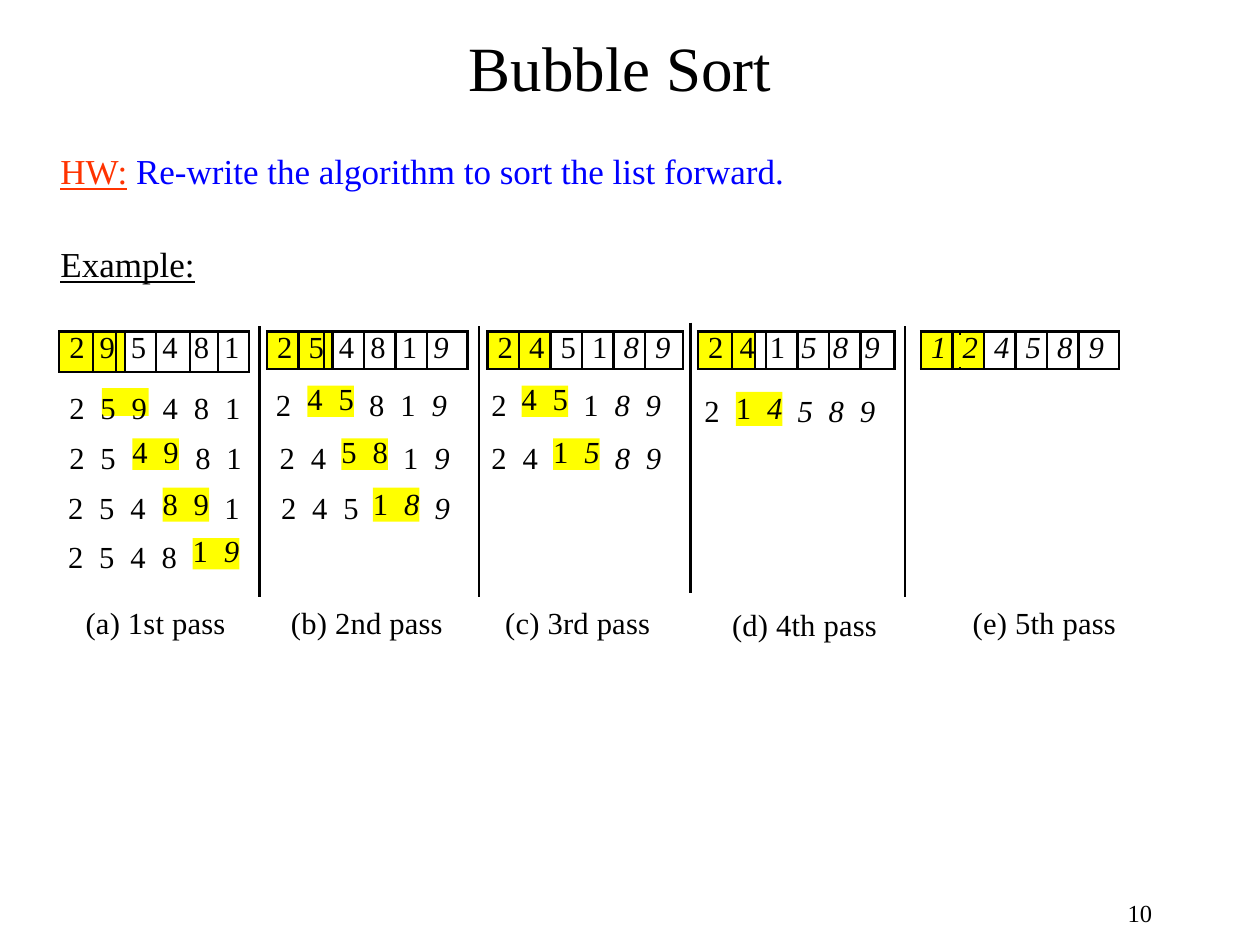
from lxml.etree import SubElement as Sub
from pptx import Presentation
from pptx.dml.color import RGBColor as RGB
from pptx.enum.shapes import MSO_CONNECTOR as Conn, MSO_SHAPE as Kind
from pptx.enum.text import MSO_ANCHOR as Anchor, MSO_AUTO_SIZE as Auto, PP_ALIGN as Align
from pptx.oxml.ns import qn
from pptx.util import Inches, Pt

HUE = {"ink": "000000", "mark": "FFFF00", "red": "FF3300", "blue": "0000FF"}
FACE, SIZE, GAP = "Times New Roman", 17.5, 235

TITLE = "Bubble Sort"
TASK = [("HW:", "red", True), (" ", "red", False),
        ("Re-write the algorithm to sort the list forward.", "blue", False)]
HEAD = "Example:"
PAGE = "10"

LISTS = [
    (0.47, 0.32, "2 9 - 5 4 8 1", [0.27, 0.18, 0.07, 0.25, 0.27, 0.22, 0.25],
     [0.08, 0.05, 0, 0.05, 0.05, 0.03, 0.05], 3, 7),
    (2.12, 0.3, "2 5 - 4 8 1 9", [0.25, 0.2, 0.07, 0.25, 0.25, 0.25, 0.32],
     [0.08, 0.08, 0, 0.05, 0.05, 0.05, 0.05], 3, 6),
    (3.87, 0.3, "2 4 5 1 8 9", [0.25] * 5 + [0.3], [0.08] * 6, 2, 4),
    (5.54, 0.3, "2 4 - 1 5 8 9", [0.27, 0.18, 0.09, 0.25, 0.25, 0.25, 0.27],
     [0.08, 0.06, 0, 0.03, 0.03, 0.03, 0.03], 2, 4),
    (7.31, 0.3, "1 2 4 5 8 9", [0.25] * 5 + [0.32], [0.08] * 6, 2, 0),
]
SWAPS = [
    (1.05, 3.48, 0.25, "4 9", 17.9), (1.29, 3.87, 0.27, "8 9", 19.4),
    (1.53, 4.27, 0.25, "1 _9", 17.7), (2.44, 3.06, 0.25, "4 5", 17.7),
    (2.71, 3.48, 0.25, "5 8", 17.9), (2.96, 3.87, 0.27, "1 _8", 19.4),
    (4.14, 3.06, 0.25, "4 5", 17.7), (4.39, 3.48, 0.25, "1 _5", 17.9),
    (5.84, 3.11, 0.27, "1 _4", 19.5),
]
STEPS = [
    (0.54, 3.05, 1.4, "2 5 9 4 8 1", []),
    (0.54, 3.44, 2.1, "2 5\t8 1\t2 4", [1, 1.67]),
    (0.53, 3.84, 2.35, "2 5 4\t1\t2 4 5", [1.24, 1.69]),
    (0.53, 4.23, 0.95, "2 5 4 8", []),
    (2.18, 3.02, 0.16, "2", []),
    (2.92, 3.02, 1.15, "8 1 _9\t_2", [0.97]),
    (3.19, 3.44, 1.12, "1 _9\t_2 4", [0.7]),
    (3.44, 3.84, 0.16, "_9", []),
    (4.62, 3.02, 0.66, "1 _8 9", []),
    (4.87, 3.44, 0.42, "_8 9", []),
    (5.58, 3.07, 0.16, "2", []),
    (6.32, 3.07, 0.66, "_5 8 9", []),
]
NAMES = [(0.67, 4.75, 1.14, "(a) 1st pass"), (2.3, 4.75, 1.23, "(b) 2nd pass"),
         (4, 4.75, 1.18, "(c) 3rd pass"), (5.8, 4.77, 1.18, "(d) 4th pass"),
         (7.71, 4.75, 1.16, "(e) 5th pass")]
RULES = [(2.06, 2.59, 4.74), (3.8, 2.59, 4.74), (5.48, 2.56, 4.71),
         (7.18, 2.59, 4.74), (7.62, 2.91, 2.93), (7.62, 2.64, 2.66)]


def put(obj, **vals):
    for key, val in vals.items():
        setattr(obj, key, val)


def frame(shape, top=0.0):
    text = shape.text_frame
    put(text, margin_left=0, margin_right=0, margin_bottom=0, margin_top=Inches(top),
        word_wrap=False, auto_size=Auto.NONE, vertical_anchor=Anchor.TOP)
    text.paragraphs[0].alignment = Align.LEFT
    return text


def box(slide, x, y, w, h, top=0.04):
    return frame(slide.shapes.add_textbox(*map(Inches, (x, y, w, h))), top)


def write(para, text, size=SIZE, hue="ink", gap=0, **look):
    run = para.add_run()
    run.text = text
    put(run.font, name=FACE, size=Pt(size), **look)
    run.font.color.rgb = RGB.from_string(HUE[hue])
    if gap:
        run._r.get_or_add_rPr().set("spc", str(gap))


def digits(para, text):
    for i, part in enumerate(text.split("_")):
        if part:
            write(para, part, gap=GAP, italic=i % 2 == 1)


def patch(slide, x, y, w, h):
    shape = slide.shapes.add_shape(Kind.RECTANGLE, *map(Inches, (x, y, w, h)))
    shape.shadow.inherit = False
    shape.fill.solid()
    shape.fill.fore_color.rgb = RGB.from_string(HUE["mark"])
    shape.line.fill.background()
    return shape


def rule(slide, x, top, end):
    line = slide.shapes.add_connector(Conn.STRAIGHT, *map(Inches, (x, top, x, end)))
    line.line.width = Pt(1.33)
    line.line.color.rgb = RGB.from_string(HUE["ink"])
    Sub(line._element.spPr, qn("a:effectLst"))


def edge(cell):
    props = cell._tc.get_or_add_tcPr()
    for side in ("lnL", "lnR", "lnT", "lnB"):
        line = Sub(props, qn(f"a:{side}"), w=str(Pt(1.5)))
        Sub(Sub(line, qn("a:solidFill")), qn("a:srgbClr"), val=HUE["ink"])


def grid(slide, x, high, text, widths, pads, lit, done):
    marks = text.split()
    size = map(Inches, (x, 2.63, sum(widths), high))
    table = slide.shapes.add_table(1, len(marks), *size).table
    put(table, first_row=False, horz_banding=False)
    table.rows[0].height = Inches(high)
    for i, (mark, wide, pad) in enumerate(zip(marks, widths, pads)):
        table.columns[i].width = Inches(wide)
        cell = table.cell(0, i)
        put(cell, margin_left=Inches(pad), margin_right=0, margin_top=0, margin_bottom=0)
        edge(cell)
        if i < lit:
            cell.fill.solid()
            cell.fill.fore_color.rgb = RGB.from_string(HUE["mark"])
        else:
            cell.fill.background()
        write(cell.text_frame.paragraphs[0], mark.strip("-"), italic=i >= done)


def main():
    """Build the bubble sort slide."""
    deck = Presentation()
    put(deck, slide_width=Inches(10), slide_height=Inches(7.5))
    slide = deck.slides.add_slide(deck.slide_layouts[5])

    title = slide.shapes.title
    put(title, left=Inches(3.72), top=Inches(0.21), width=Inches(2.43), height=Inches(0.63))
    write(frame(title, 0.02).paragraphs[0], TITLE, 36)

    body = box(slide, 0.48, 1.17, 5.76, 1.06, 0.02)
    for text, hue, under in TASK:
        write(body.paragraphs[0], text, 20, hue, underline=under)
    head = body.add_paragraph()
    put(head, space_before=Pt(29), alignment=Align.LEFT)
    write(head, HEAD, 20, underline=True)

    patch(slide, 0.81, 3.08, 0.37, 0.22)
    for x, y, h, text, lead in SWAPS:
        para = frame(patch(slide, x, y, 0.37, h)).paragraphs[0]
        para.line_spacing = Pt(lead)
        digits(para, text)
    for x, y, w, text, stops in STEPS:
        para = box(slide, x + 0.01, y, w, 0.32).paragraphs[0]
        if stops:
            tabs = Sub(para._p.get_or_add_pPr(), qn("a:tabLst"))
            for stop in stops:
                Sub(tabs, qn("a:tab"), pos=str(Inches(stop)), algn="l")
        digits(para, text)
    for x, y, w, text in NAMES:
        write(box(slide, x + 0.01, y, w, 0.32).paragraphs[0], text, gap=10)
    for row in LISTS:
        grid(slide, *row)
    for spot in RULES:
        rule(slide, *spot)
    write(box(slide, 8.95, 7.13, 0.24, 0.24, 0).paragraphs[0], PAGE, 14)
    deck.save("out.pptx")


if __name__ == "__main__":
    main()
